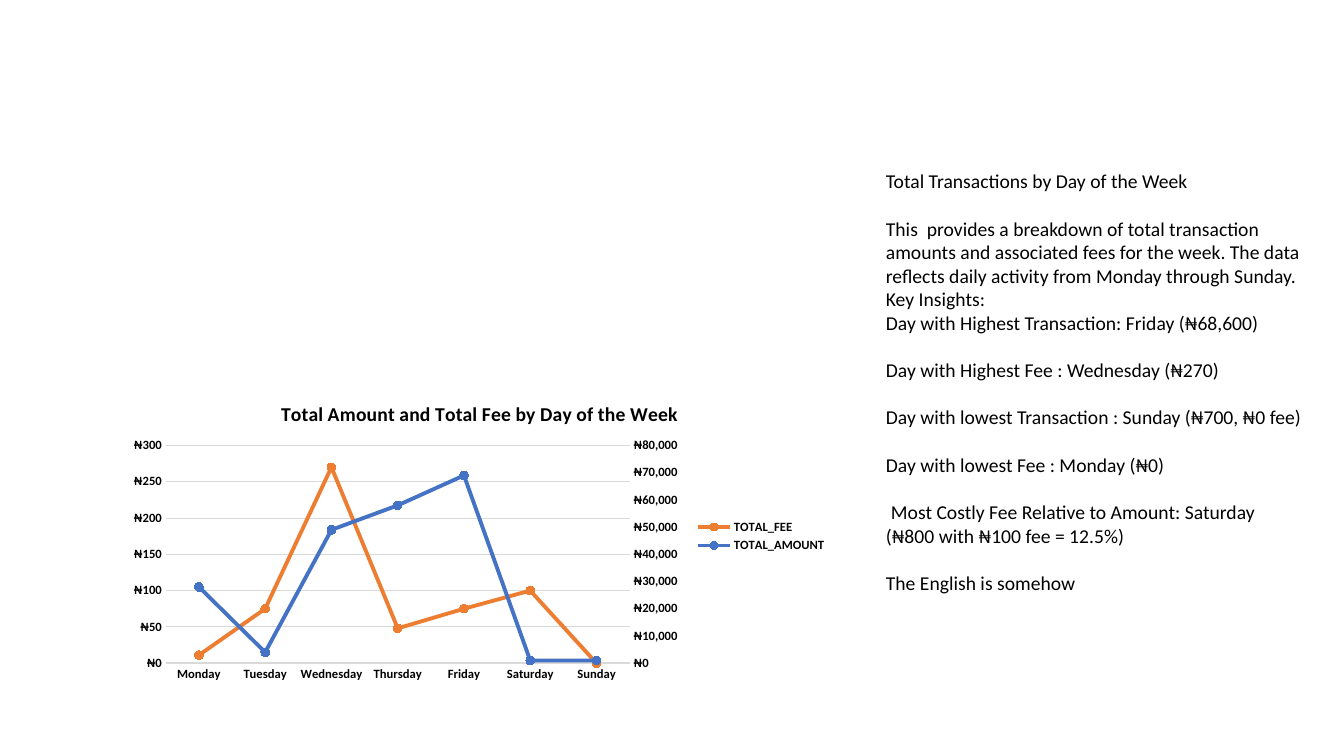
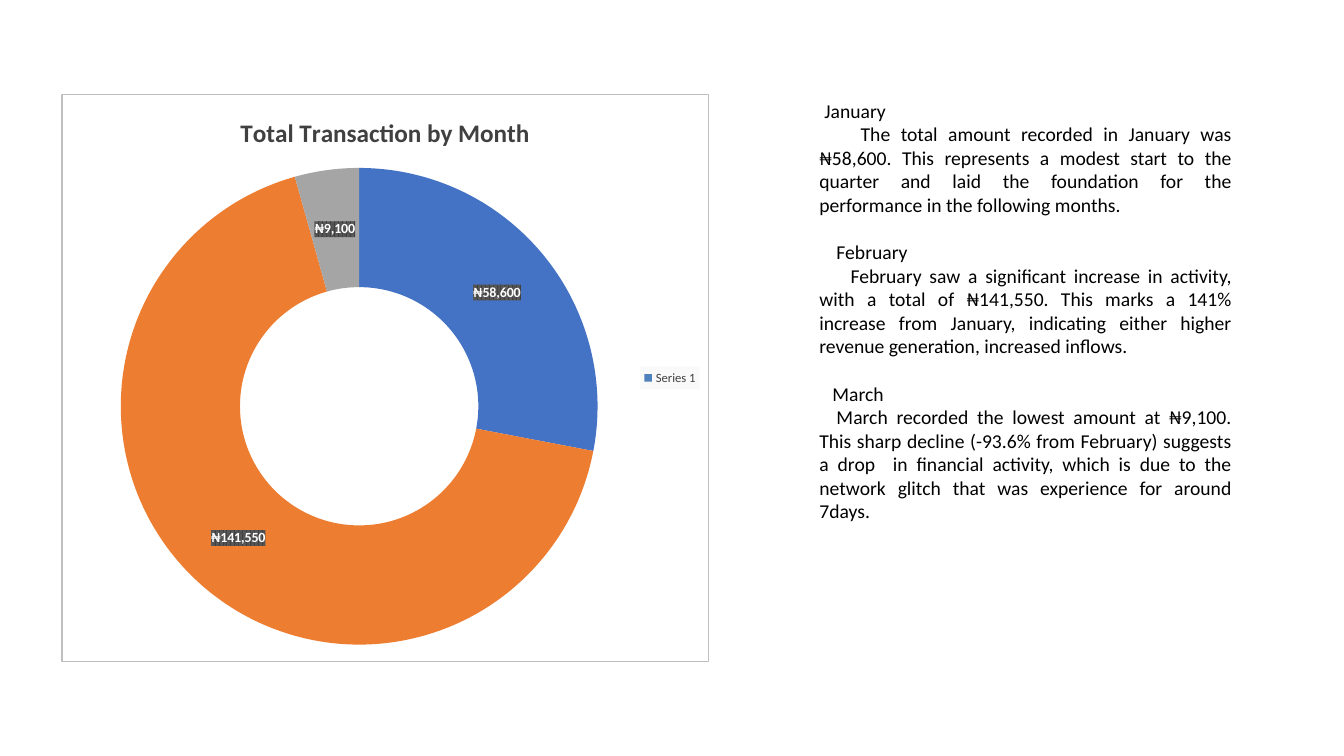
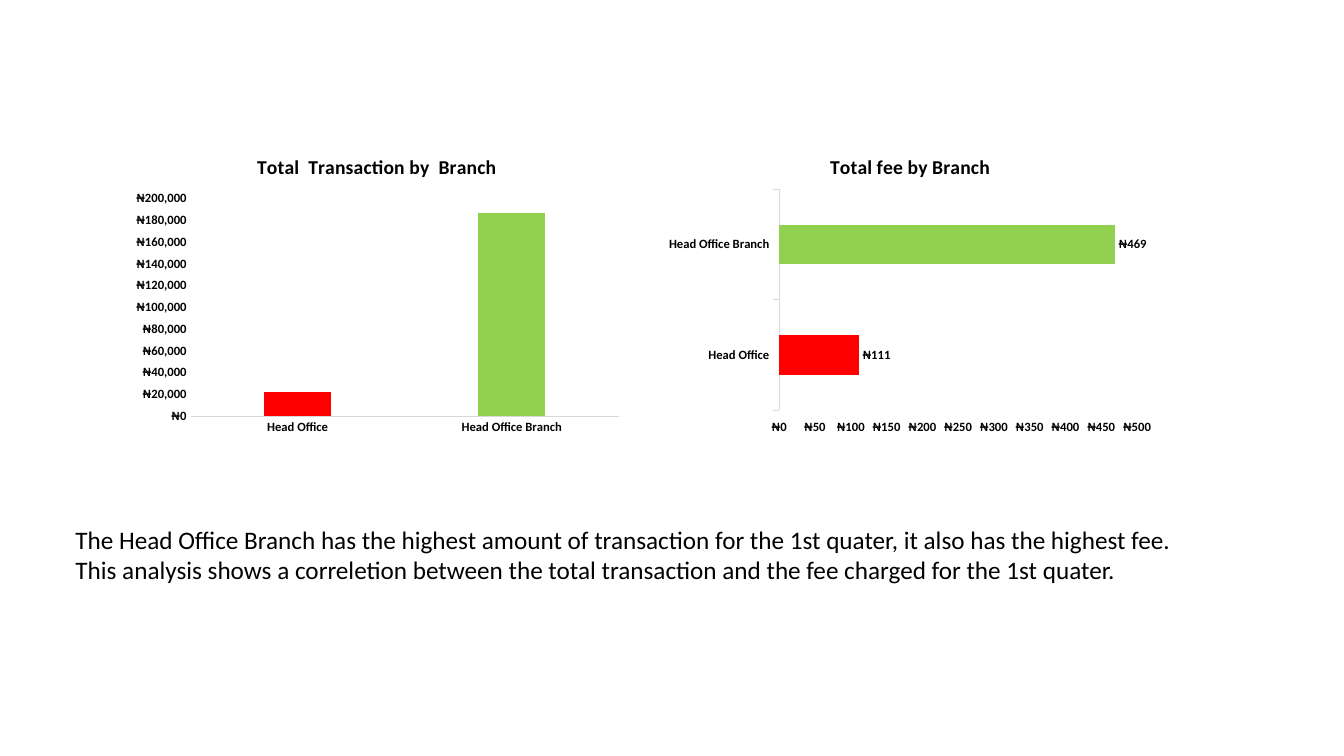
from copy import deepcopy

from pptx import Presentation
from pptx import util as u
from pptx.chart.data import CategoryChartData
from pptx.dml.color import RGBColor
from pptx.enum import chart as charts, text
from pptx.oxml import parse_xml
from pptx.oxml.ns import nsdecls, qn

COLUMNS, ROWS = 133.33, 75
CELL = u.Inches(0.1)
FONT = "Calibri"
BLACK, WHITE, GREY = "000000", "FFFFFF", "D9D9D9"
DARK, BORDER, SILVER = "404040", "BFBFBF", "A5A5A5"
BLUE, ORANGE, GREEN, RED = "4472C4", "ED7D31", "92D050", "FF0000"
NAIRA = '"₦"#,##0'
KIND = charts.XL_CHART_TYPE
TICK = charts.XL_TICK_MARK
BORDERED = (f'<a:solidFill><a:srgbClr val="{WHITE}"/></a:solidFill><a:ln w="9525">'
            f'<a:solidFill><a:srgbClr val="{BORDER}"/></a:solidFill></a:ln>')
LABEL_PATTERN = ('<a:pattFill prst="pct75"><a:fgClr><a:srgbClr val="404040"/></a:fgClr>'
                 '<a:bgClr><a:srgbClr val="595959"/></a:bgClr></a:pattFill>')
PALE_LEGEND = ('<a:solidFill><a:srgbClr val="F2F2F2"><a:alpha val="39000"/>'
               '</a:srgbClr></a:solidFill>')


def color(value):
    return RGBColor.from_string(value)


def cells(box):
    return [int(length * CELL) for length in box]


def style_font(font, size, value=BLACK, bold=None):
    font.name, font.size, font.bold = FONT, u.Pt(size), bold
    font.color.rgb = color(value)


def paint(fill, value):
    fill.solid()
    fill.fore_color.rgb = color(value)


def draw_line(line, value, width):
    paint(line.fill, value)
    line.width = u.Pt(width)


def set_background(element, content):
    properties = parse_xml(f'<c:spPr {nsdecls("c", "a")}>{content}</c:spPr>')
    element.find(qn("c:txPr")).addprevious(properties)


def set_plot_box(chart, shares):
    parts = "".join(f'<c:{name} val="{share}"/>' for name, share in zip("xywh", shares))
    layout = parse_xml(
        f'<c:layout {nsdecls("c")}><c:manualLayout><c:layoutTarget val="inner"/>'
        f'<c:xMode val="edge"/><c:yMode val="edge"/>{parts}</c:manualLayout></c:layout>')
    area = chart._chartSpace.chart.plotArea
    for old in area.findall(qn("c:layout")):
        area.remove(old)
    area.insert(0, layout)


def add_chart(slide, box, kind, title, categories, series, plot_box, title_size=14,
              title_color=BLACK, bold=True):
    data = CategoryChartData(number_format=NAIRA)
    data.categories = categories
    for name, values in series.items():
        data.add_series(name, values)
    chart = slide.shapes.add_chart(kind, *cells(box), data).chart
    style_font(chart.font, 10, BLACK, bold)
    chart.has_title = True
    chart.chart_title.include_in_layout = False
    frame = chart.chart_title.text_frame
    frame.text = title
    style_font(frame.paragraphs[0].runs[0].font, title_size, title_color, True)
    chart.has_legend = False
    chart.plots[0].vary_by_categories = False
    set_plot_box(chart, plot_box)
    return chart


def add_legend(chart, value, bold):
    chart.has_legend = True
    chart.legend.position = charts.XL_LEGEND_POSITION.RIGHT
    chart.legend.include_in_layout = False
    style_font(chart.legend.font, 9, value, bold)


def style_axes(chart, maximum, step, tick=TICK.NONE, width=0.75, grid=False):
    for axis in (chart.category_axis, chart.value_axis):
        axis.major_tick_mark = tick
        axis.minor_tick_mark = TICK.NONE
        axis.has_major_gridlines = False
        style_font(axis.tick_labels.font, 9, BLACK, True)
    draw_line(chart.category_axis.format.line, GREY, width)
    axis = chart.value_axis
    axis.format.line.fill.background()
    axis.tick_labels.number_format = NAIRA
    axis.tick_labels.number_format_is_linked = False
    axis.minimum_scale, axis.maximum_scale, axis.major_unit = 0, maximum, step
    if grid:
        axis.has_major_gridlines = True
        draw_line(axis.major_gridlines.format.line, GREY, 0.75)


def add_labels(series, size, value):
    labels = series.data_labels
    labels.show_value = True
    labels.number_format = NAIRA
    labels.number_format_is_linked = False
    style_font(labels.font, size, value, True)
    return labels


def move_last_series_right(chart, maximum, step):
    area = chart._chartSpace.chart.plotArea
    left_plot = area.find(qn("c:lineChart"))
    right_plot = deepcopy(left_plot)
    left_plot.remove(left_plot.findall(qn("c:ser"))[-1])
    for series in right_plot.findall(qn("c:ser"))[:-1]:
        right_plot.remove(series)
    left_plot.addnext(right_plot)
    category = deepcopy(area.find(qn("c:catAx")))
    value = deepcopy(area.find(qn("c:valAx")))
    new_ids = {category.find(qn("c:axId")).get("val"): "5001",
               value.find(qn("c:axId")).get("val"): "5002"}
    for element in (right_plot, category, value):
        for tag in ("c:axId", "c:crossAx"):
            for reference in element.findall(qn(tag)):
                reference.set("val", new_ids[reference.get("val")])
    category.find(qn("c:delete")).set("val", "1")
    value.remove(value.find(qn("c:majorGridlines")))
    value.find(qn("c:axPos")).set("val", "r")
    value.find(qn("c:crosses")).set("val", "max")
    value.find(qn("c:scaling")).find(qn("c:max")).set("val", str(maximum))
    value.find(qn("c:majorUnit")).set("val", str(step))
    area.findall(qn("c:valAx"))[-1].addnext(value)
    value.addnext(category)


def add_text(slide, box, entries, size=14, align=None):
    frame = slide.shapes.add_textbox(*cells(box)).text_frame
    frame.word_wrap = True
    frame.auto_size = text.MSO_AUTO_SIZE.SHAPE_TO_FIT_TEXT
    frame.text = "\n".join(entry for entry, gap, indent in entries)
    for paragraph, (entry, gap, indent) in zip(frame.paragraphs, entries):
        if indent:
            paragraph._p.get_or_add_pPr().set("indent", str(u.Inches(indent)))
        if gap:
            paragraph.space_before = u.Pt(17)
        if align is not None:
            paragraph.alignment = align
        style_font(paragraph.runs[0].font, size)


def add_weekday_chart(slide, box):
    days = ["Monday", "Tuesday", "Wednesday", "Thursday", "Friday", "Saturday", "Sunday"]
    totals = {"TOTAL_FEE": (11, 75, 270, 48, 75, 100, 0),
              "TOTAL_AMOUNT": (28000, 4000, 49000, 58000, 69000, 1000, 1000)}
    chart = add_chart(slide, box, KIND.LINE_MARKERS,
                      "Total Amount and Total Fee by Day of the Week", days, totals,
                      (0.06, 0.2, 0.65, 0.72))
    style_axes(chart, 300, 50, width=1, grid=True)
    add_legend(chart, BLACK, True)
    looks = ((ORANGE, "F67B28"), (BLUE, "3E70CA"))
    for series, (line_color, marker_color) in zip(chart.plots[0].series, looks):
        series.smooth = False
        draw_line(series.format.line, line_color, 2.75)
        series.marker.style = charts.XL_MARKER_STYLE.CIRCLE
        series.marker.size = 6
        paint(series.marker.format.fill, marker_color)
        draw_line(series.marker.format.line, line_color, 0.75)
    move_last_series_right(chart, 80000, 10000)


def add_month_chart(slide, box):
    chart = add_chart(slide, box, KIND.DOUGHNUT, "Total Transaction by Month",
                      ["Jan", "Feb", "Mar"], {"Series 1": (58600, 141550, 9100)},
                      (0.09, 0.13, 0.74, 0.84), 18, DARK, False)
    add_legend(chart, DARK, False)
    series = chart.plots[0].series[0]
    for index, value in enumerate((BLUE, ORANGE, SILVER)):
        paint(series.points[index].format.fill, value)
    labels = add_labels(series, 10, WHITE)
    set_background(labels._element, LABEL_PATTERN)
    set_background(chart.legend._element, PALE_LEGEND)
    set_background(chart._chartSpace, BORDERED)


def add_branch_chart(slide, box, kind, title, values, plot_box, gap):
    chart = add_chart(slide, box, kind, title, ["Head Office", "Head Office Branch"],
                      {"Series 1": values}, plot_box)
    chart.plots[0].gap_width = gap
    series = chart.plots[0].series[0]
    series.invert_if_negative = False
    paint(series.format.fill, GREEN)
    paint(series.points[0].format.fill, RED)
    return chart


def build_weekday_slide(slide):
    add_weekday_chart(slide, (12.2, 38.2, 70.8, 30))
    add_text(slide, (86.9, 16.3, 43.5, 43.4), [
        ("Total Transactions by Day of the Week", False, 0),
        ("This  provides a breakdown of total transaction amounts and associated fees for "
         "the week. The data reflects daily activity from Monday through Sunday.", True, 0),
        ("Key Insights:", False, 0),
        ("Day with Highest Transaction: Friday (₦68,600)", False, 0),
        ("Day with Highest Fee : Wednesday (₦270)", True, 0),
        ("Day with lowest Transaction : Sunday (₦700, ₦0 fee)", True, 0),
        ("Day with lowest Fee : Monday (₦0)", True, 0),
        ("Most Costly Fee Relative to Amount: Saturday (₦800 with ₦100 fee = 12.5%)",
         True, 0.05),
        ("The English is somehow", True, 0)])


def build_month_slide(slide):
    add_month_chart(slide, (6.1, 9.3, 64.2, 56.4))
    add_text(slide, (80.3, 9.3, 42.9, 43.4), [
        ("January", False, 0.05),
        ("The total amount recorded in January was ₦58,600. This represents a modest start "
         "to the quarter and laid the foundation for the performance in the following "
         "months.", False, 0.41),
        ("February", True, 0.17),
        ("February saw a significant increase in activity, with a total of ₦141,550. This "
         "marks a 141% increase from January, indicating either higher revenue generation, "
         "increased inflows.", False, 0.31),
        ("March", True, 0.13),
        ("March recorded the lowest amount at ₦9,100. This sharp decline (-93.6% from "
         "February) suggests a drop  in financial activity, which is due to the network "
         "glitch that was experience for around 7days.", False, 0.17)],
        align=text.PP_ALIGN.JUSTIFY)


def build_branch_slide(slide):
    amounts = add_branch_chart(slide, (12.4, 13.7, 50, 30), KIND.COLUMN_CLUSTERED,
                               "Total  Transaction by  Branch", (22000, 187000),
                               (0.13, 0.2, 0.85, 0.72), 219)
    amounts.plots[0].overlap = -27
    style_axes(amounts, 200000, 20000)
    fees = add_branch_chart(slide, (65.3, 13.7, 50, 30), KIND.BAR_CLUSTERED,
                            "Total fee by Branch", (111, 469),
                            (0.24, 0.17, 0.71, 0.73), 182)
    style_axes(fees, 500, 50, TICK.OUTSIDE)
    labels = add_labels(fees.plots[0].series[0], 9, BLACK)
    labels.position = charts.XL_LABEL_POSITION.OUTSIDE_END
    add_text(slide, (6.5, 51.5, 110.9, 7.1), [
        ("The Head Office Branch has the highest amount of transaction for the 1st quater, "
         "it also has the highest fee. This analysis shows a correletion between the total "
         "transaction and the fee charged for the 1st quater.", False, 0)], 18)


def main():
    presentation = Presentation()
    presentation.slide_width, presentation.slide_height = cells((COLUMNS, ROWS))
    for build in (build_weekday_slide, build_month_slide, build_branch_slide):
        build(presentation.slides.add_slide(presentation.slide_layouts[6]))
    presentation.save("out.pptx")


if __name__ == "__main__":
    main()
